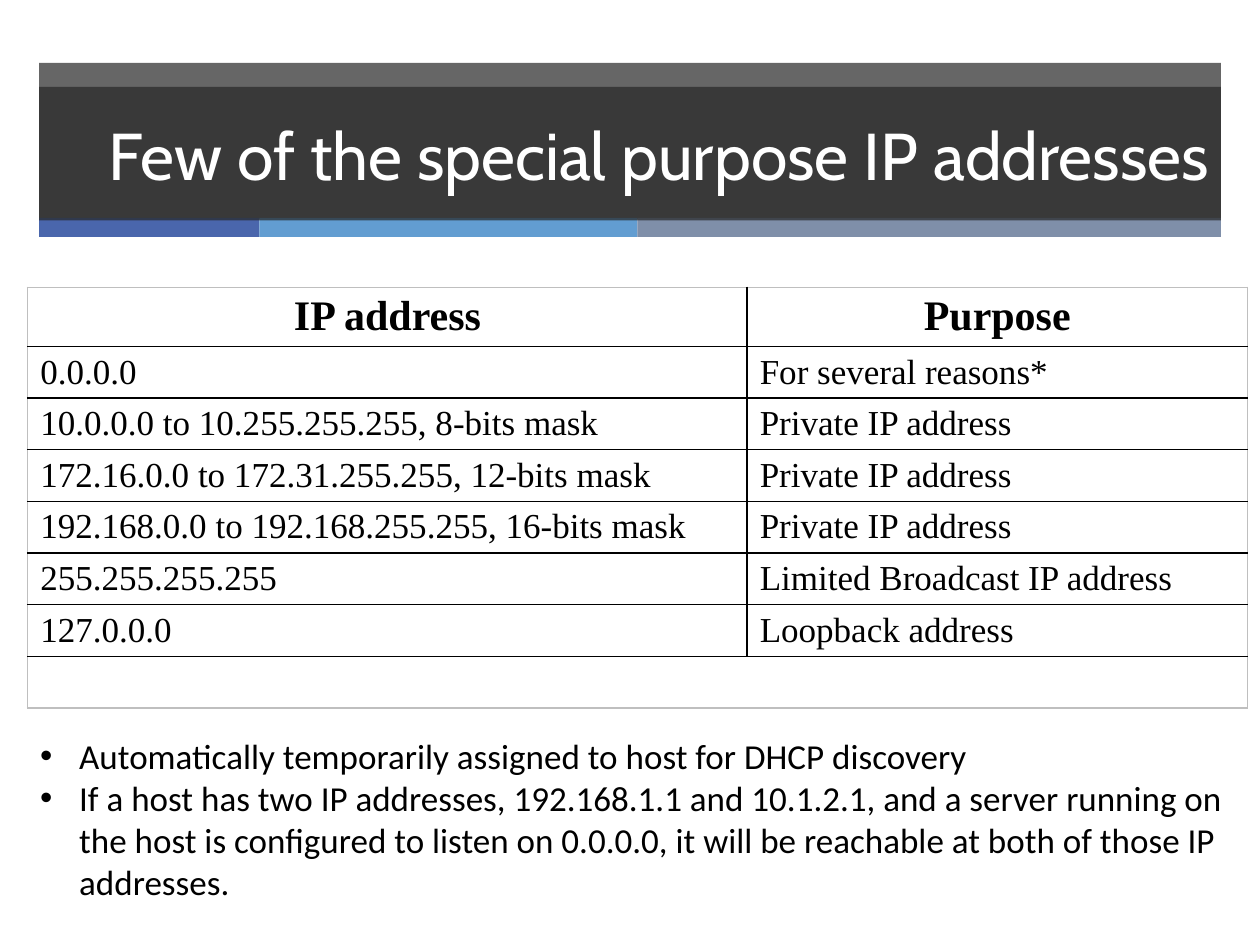
from lxml.etree import SubElement
from pptx import Presentation
from pptx.dml.color import RGBColor
from pptx.enum.shapes import MSO_SHAPE as SHAPE
from pptx.enum.text import MSO_ANCHOR as ANCHOR, PP_ALIGN as ALIGN
from pptx.oxml import parse_xml
from pptx.oxml.ns import nsdecls, qn
from pptx.util import Inches, Pt

TITLE = "Few of the special purpose IP addresses"
HEADER = ("IP address", "Purpose")
ADDRESSES = [
    ("0.0.0.0", "For several reasons*"),
    ("10.0.0.0 to 10.255.255.255, 8-bits mask", "Private IP address"),
    ("172.16.0.0 to 172.31.255.255, 12-bits mask", "Private IP address"),
    ("192.168.0.0 to 192.168.255.255, 16-bits mask", "Private IP address"),
    ("255.255.255.255", "Limited Broadcast IP address"),
    ("127.0.0.0", "Loopback address"),
    ("", ""),
]
NOTES = [
    "Automatically temporarily assigned to host for DHCP discovery",
    "If a host has two IP addresses, 192.168.1.1 and 10.1.2.1, and a server "
    "running on the host is configured to listen on 0.0.0.0, it will be "
    "reachable at both of those IP addresses.",
]
STRIPES = [("4A66AC", 1.75), ("629DD1", 3), ("7F8FA9", 4.63)]
BAND_LEFT, BAND_WIDTH = 0.31, 9.38
BODY_LEFT, BODY_WIDTH = 0.22, 9.68
COLS = (5.71, 3.97)
HEADER_HEIGHT, ROW_HEIGHT = 0.47, 0.41
INK, GRID, FRAME = "000000", "000000", "BFBFBF"


def rgb(color):
    return RGBColor.from_string(color)


def write(p, text, font="Times New Roman", size=20, color=INK, bold=False, align=ALIGN.LEFT):
    p.alignment = align
    r = p.add_run()
    r.text = text
    r.font.name, r.font.size, r.font.bold = font, Pt(size), bold
    r.font.color.rgb = rgb(color)


def add_bar(left, top, width, height, color, alpha=None):
    s = slide.shapes.add_shape(SHAPE.RECTANGLE, *map(Inches, (left, top, width, height)))
    s.shadow.inherit = False
    s.line.fill.background()
    s.fill.solid()
    s.fill.fore_color.rgb = rgb(color)
    if alpha:
        clr = s.fill._xPr.find(".//" + qn("a:srgbClr"))
        SubElement(clr, qn("a:alpha"), val=str(alpha * 1000))
    return s


def set_borders(cell, **colors):
    tcPr = cell._tc.get_or_add_tcPr()
    for i, (side, color) in enumerate(colors.items()):
        tcPr.insert(i, parse_xml(
            f'<a:ln{side} {nsdecls("a")} w="12700"><a:solidFill>'
            f'<a:srgbClr val="{color}"/></a:solidFill></a:ln{side}>'))


def add_bullet(p, indent):
    pPr = p._p.get_or_add_pPr()
    pPr.set("marL", str(Inches(indent)))
    pPr.set("indent", str(-Inches(indent)))
    SubElement(pPr, qn("a:buFont"), typeface="Arial")
    SubElement(pPr, qn("a:buChar"), char="•")


prs = Presentation()
prs.slide_width, prs.slide_height = Inches(10), Inches(7.5)
slide = prs.slides.add_slide(prs.slide_layouts[6])

# Title band: translucent backdrop, coloured stripes, title on top
add_bar(BAND_LEFT, 0.5, BAND_WIDTH, 1.24, "262626", alpha=70)
left = BAND_LEFT
for color, width in STRIPES:
    add_bar(left, 1.73, width, 0.15, color)
    left += width
title = add_bar(BAND_LEFT, 0.69, BAND_WIDTH, 1.06, "262626", alpha=70)
tf = title.text_frame
tf.word_wrap, tf.vertical_anchor = True, ANCHOR.MIDDLE
write(tf.paragraphs[0], TITLE, font="Cabin", size=37.8, color="FFFFFF", align=ALIGN.RIGHT)

# Address table: black inner grid, light outer frame
rows = [HEADER] + ADDRESSES
last_row, last_col = len(rows) - 1, len(COLS) - 1
table = slide.shapes.add_table(
    len(rows), len(COLS), Inches(BODY_LEFT), Inches(2.28), Inches(BODY_WIDTH),
    Inches(HEADER_HEIGHT + ROW_HEIGHT * last_row)).table
table.first_row = table.horz_banding = False
for col, width in zip(table.columns, COLS):
    col.width = Inches(width)
for i, row in enumerate(rows):
    table.rows[i].height = Inches(ROW_HEIGHT if i else HEADER_HEIGHT)
    for j, text in enumerate(row):
        cell = table.cell(i, j)
        cell.fill.background()
        inner = FRAME if i == last_row else GRID
        set_borders(cell,
                    L=inner if j else FRAME, R=FRAME if j == last_col else inner,
                    T=GRID if i else FRAME, B=inner)
        p = cell.text_frame.paragraphs[0]
        if i == 0:
            write(p, text, size=24, bold=True, align=ALIGN.CENTER)
        elif text:
            write(p, text)
table.cell(last_row, 0).merge(table.cell(last_row, last_col))

# Notes on 0.0.0.0
tf = slide.shapes.add_textbox(
    Inches(BODY_LEFT), Inches(5.78), Inches(BODY_WIDTH), Inches(1.45)).text_frame
tf.word_wrap = True
for i, note in enumerate(NOTES):
    p = tf.add_paragraph() if i else tf.paragraphs[0]
    write(p, note, font="Calibri")
    add_bullet(p, 0.31)

prs.save("out.pptx")
